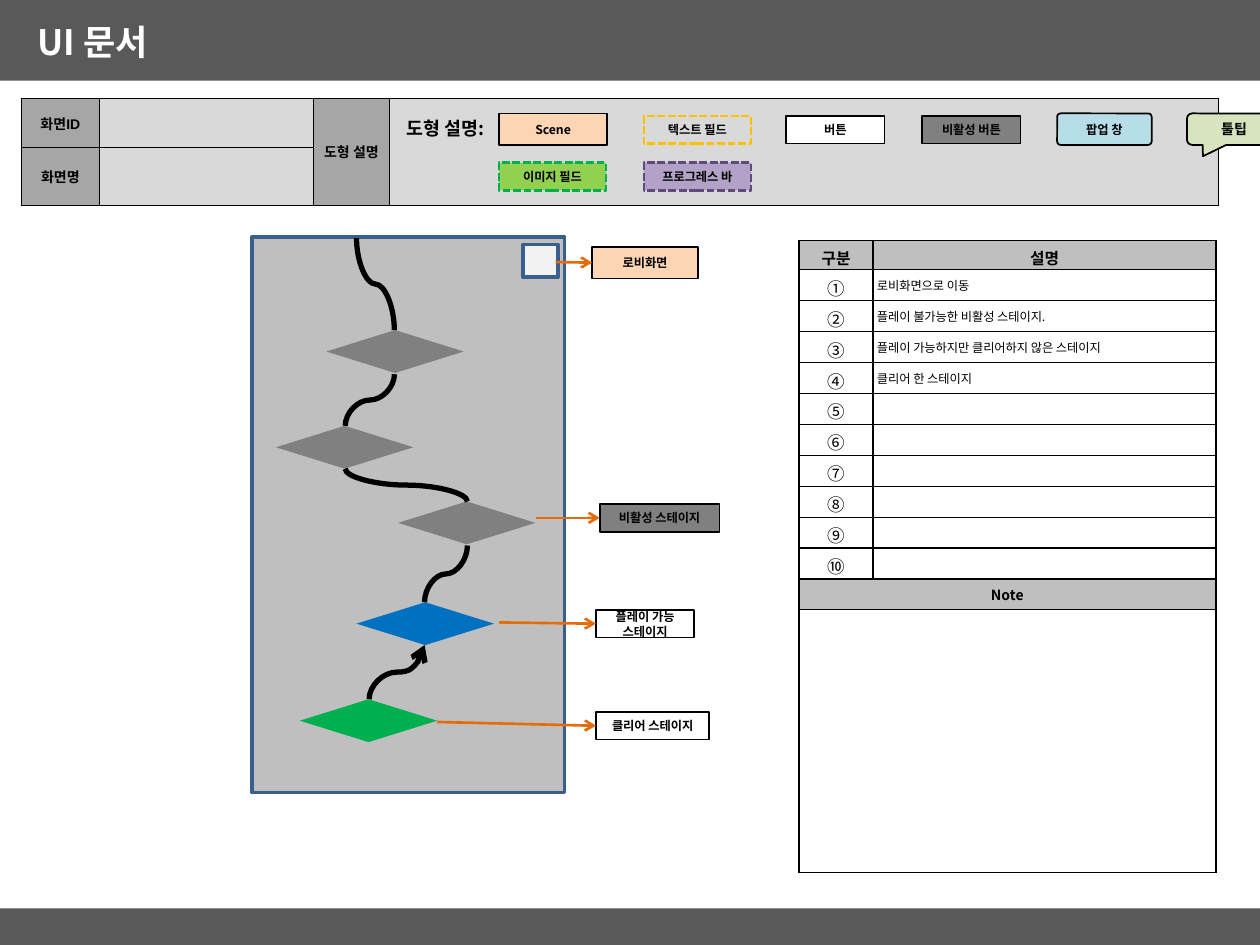
from lxml.etree import SubElement
from pptx import Presentation
from pptx.dml.color import RGBColor
from pptx.enum.dml import MSO_LINE
from pptx.enum.shapes import MSO_CONNECTOR, MSO_SHAPE
from pptx.enum.text import MSO_ANCHOR, PP_ALIGN
from pptx.oxml.ns import qn
from pptx.util import Inches, Pt

BLACK = RGBColor(0x00, 0x00, 0x00)
WHITE = RGBColor(0xFF, 0xFF, 0xFF)
BAR = RGBColor(0x59, 0x59, 0x59)
GRAY = RGBColor(0x80, 0x80, 0x80)
LABEL_GRAY = RGBColor(0xA6, 0xA6, 0xA6)
HEAD_GRAY = RGBColor(0xBF, 0xBF, 0xBF)
PALE_GRAY = RGBColor(0xD9, 0xD9, 0xD9)
ICON_GRAY = RGBColor(0xF2, 0xF2, 0xF2)
PEACH = RGBColor(0xFC, 0xD5, 0xB5)
OLIVE = RGBColor(0xD7, 0xE4, 0xBD)
AQUA = RGBColor(0xB7, 0xDE, 0xE8)
AMBER = RGBColor(0xFF, 0xC0, 0x00)
LILAC = RGBColor(0xB3, 0xA2, 0xC7)
PURPLE = RGBColor(0x60, 0x4A, 0x7B)
LIME = RGBColor(0x92, 0xD0, 0x50)
GREEN = RGBColor(0x00, 0xB0, 0x50)
BLUE = RGBColor(0x00, 0x70, 0xC0)
NAVY = RGBColor(0x3A, 0x5F, 0x8C)
ORANGE = RGBColor(0xE4, 0x6C, 0x0A)

KOREAN = "Noto Sans CJK KR"
RECT, ROUND = MSO_SHAPE.RECTANGLE, MSO_SHAPE.ROUNDED_RECTANGLE
CALLOUT = MSO_SHAPE.ROUNDED_RECTANGULAR_CALLOUT

# text, shape, (left, top, width, height), fill, adjustments, size
LEGEND = [
    ("Scene", RECT, (3.96, 0.9, 0.86, 0.25), PEACH, [], 7),
    ("버튼", RECT, (6.24, 0.92, 0.78, 0.22), WHITE, [], 7),
    ("비활성 버튼", RECT, (7.32, 0.92, 0.78, 0.22), GRAY, [], 7),
    ("팝업 창", ROUND, (8.39, 0.9, 0.75, 0.25), AQUA, [0.11], 7),
    ("툴팁", CALLOUT, (9.42, 0.9, 0.75, 0.25), OLIVE, [-0.33, 0.86, 0.17], 8),
]
# text, left, top, fill, dashed line
FIELDS = [
    ("텍스트 필드", 5.11, 0.92, PALE_GRAY, AMBER),
    ("이미지 필드", 3.96, 1.29, LIME, GREEN),
    ("프로그레스 바", 5.11, 1.29, LILAC, PURPLE),
]
# left, top, fill
STAGES = [(2.59, 2.62, GRAY), (2.19, 3.38, GRAY), (3.16, 3.98, GRAY),
          (2.83, 4.78, BLUE), (2.38, 5.55, GREEN)]
STAGE_WIDTH, STAGE_HEIGHT = 1.09, 0.34
# start, end, arrowhead
TRAILS = [
    ((2.83, 1.89), (3.13, 2.62), False),
    ((2.74, 3.38), (3.13, 2.97), False),
    ((3.71, 3.98), (2.74, 3.72), False),
    ((3.37, 4.78), (3.71, 4.33), False),
    ((2.93, 5.55), (3.37, 5.12), True),
]
# text, box, fill, arrow start
CALLOUTS = [
    ("로비화면", (4.7, 1.96, 0.84, 0.25), PEACH, (4.41, 2.08)),
    ("비활성 스테이지", (4.76, 4, 0.95, 0.22), GRAY, (4.25, 4.11)),
    ("플레이 가능 스테이지", (4.73, 4.84, 0.78, 0.22), WHITE, (3.96, 4.94)),
    ("클리어 스테이지", (4.73, 5.65, 0.9, 0.22), WHITE, (3.47, 5.73)),
]
NUMBERS = "①②③④⑤⑥⑦⑧⑨⑩"
DESCRIPTIONS = ["로비화면으로 이동", "플레이 불가능한 비활성 스테이지.",
                "플레이 가능하지만 클리어하지 않은 스테이지", "클리어 한 스테이지"]


def inches(values):
    return [Inches(value) for value in values]


def write(paragraph, text, size, bold=True, color=BLACK, font=KOREAN, align=PP_ALIGN.CENTER):
    paragraph.alignment = align
    run = paragraph.add_run()
    run.text = text
    run.font.size, run.font.bold, run.font.name = Pt(size), bold, font
    run.font.color.rgb = color
    SubElement(run.font._element, qn("a:ea"), typeface=KOREAN)


def add_box(shapes, kind, box, fill, line=None, width=1.0, text="", size=7):
    shape = shapes.add_shape(kind, *inches(box))
    shape.shadow.inherit = False
    shape.fill.solid()
    shape.fill.fore_color.rgb = fill
    if line is None:
        shape.line.fill.background()
    else:
        shape.line.color.rgb = line
        shape.line.width = Pt(width)
    if text:
        frame = shape.text_frame
        frame.word_wrap = True
        frame.vertical_anchor = MSO_ANCHOR.MIDDLE
        write(frame.paragraphs[0], text, size)
    return shape


def add_text(shapes, box, text, size, color, wrap):
    frame = shapes.add_textbox(*inches(box)).text_frame
    frame.word_wrap = wrap
    write(frame.paragraphs[0], text, size, color=color, align=PP_ALIGN.LEFT)


def add_line(shapes, kind, start, end, color, width, arrow):
    connector = shapes.add_connector(kind, *inches(start + end))
    connector.line.color.rgb = color
    connector.line.width = Pt(width)
    if arrow:
        SubElement(connector.line._get_or_add_ln(), qn("a:tailEnd"), type="arrow")
    SubElement(connector._element.spPr, qn("a:effectLst"))
    return connector


def add_trail(shapes, start, end, arrow):
    """Curve that leaves and arrives vertically: a horizontal one turned 90 degrees."""
    (x1, y1), (x2, y2) = start, end
    middle_x, middle_y = (x1 + x2) / 2, (y1 + y2) / 2
    half_x, half_y = (x2 - x1) / 2, (y2 - y1) / 2
    curve = add_line(shapes, MSO_CONNECTOR.CURVE, (middle_x - half_y, middle_y + half_x),
                     (middle_x + half_y, middle_y - half_x), BLACK, 3, arrow)
    curve._element.spPr.find(qn("a:xfrm")).set("rot", "5400000")


def add_grid(shapes, left, top, columns, rows):
    """Plain table with black borders and no fill."""
    table = shapes.add_table(len(rows), len(columns), Inches(left), Inches(top),
                             Inches(sum(columns)), Inches(sum(rows))).table
    table.first_row = table.horz_banding = False
    for column, width in zip(table.columns, columns):
        column.width = Inches(width)
    for row, height in zip(table.rows, rows):
        row.height = Inches(height)
    for cell in table.iter_cells():
        cell.fill.background()
        cell.margin_left = cell.margin_right = Inches(0.03)
        cell.margin_top = cell.margin_bottom = Inches(0.04)
        cell.vertical_anchor = MSO_ANCHOR.MIDDLE
        cell.text_frame.paragraphs[0]._p.get_or_add_endParaRPr().set("sz", "700")
        properties = cell._tc.get_or_add_tcPr()
        for index, side in enumerate(("lnL", "lnR", "lnT", "lnB")):
            border = SubElement(properties, qn(f"a:{side}"), w=str(Pt(1)))
            SubElement(SubElement(border, qn("a:solidFill")), qn("a:srgbClr"), val=str(BLACK))
            properties.insert(index, border)
    return table


def fill_cell(cell, color, text="", size=8, font="Arial"):
    cell.fill.solid()
    cell.fill.fore_color.rgb = color
    if text:
        write(cell.text_frame.paragraphs[0], text, size, font=font)


def add_description_table(shapes):
    rows = [0.23] + [2.46 / len(NUMBERS)] * len(NUMBERS) + [0.24, 2.09]
    table = add_grid(shapes, 6.34, 1.91, [0.59, 2.72], rows)
    for column, heading in enumerate(("구분", "설명")):
        fill_cell(table.cell(0, column), HEAD_GRAY, heading, 9)
        table.cell(0, column).margin_bottom = 0
    for row, number in enumerate(NUMBERS, 1):
        cell = table.cell(row, 0)
        cell.margin_bottom = 0
        write(cell.text_frame.paragraphs[0], number, 10, bold=False)
    for row, text in enumerate(DESCRIPTIONS, 1):
        write(table.cell(row, 1).text_frame.paragraphs[0], text, 7, bold=False,
              align=PP_ALIGN.LEFT)
    note_row = len(NUMBERS) + 1
    for row in (note_row, note_row + 1):
        table.cell(row, 0).merge(table.cell(row, 1))
    fill_cell(table.cell(note_row, 0), HEAD_GRAY, "Note", font=KOREAN)


def add_screen_table(shapes):
    table = add_grid(shapes, 0.17, 0.78, [0.62, 1.7, 0.6, 6.58], [0.39, 0.46])
    for row, label in enumerate(("화면ID", "화면명")):
        fill_cell(table.cell(row, 0), LABEL_GRAY, label)
        fill_cell(table.cell(row, 1), PALE_GRAY)
    for column in (2, 3):
        table.cell(0, column).merge(table.cell(1, column))
    fill_cell(table.cell(0, 2), LABEL_GRAY, "도형 설명")
    fill_cell(table.cell(0, 3), PALE_GRAY)


def main():
    presentation = Presentation()
    presentation.slide_width, presentation.slide_height = Inches(10), Inches(7.5)
    shapes = presentation.slides.add_slide(presentation.slide_layouts[6]).shapes

    add_box(shapes, RECT, (0, 0, 10, 0.64), BAR)
    add_box(shapes, RECT, (0, 7.21, 10, 0.29), BAR)
    add_text(shapes, (0.2, 0.11, 9.53, 0.44), "UI 문서", 20, WHITE, True)
    add_description_table(shapes)
    add_screen_table(shapes)

    add_text(shapes, (3.13, 0.88, 0.88, 0.28), "도형 설명:", 10.5, BLACK, False)
    for text, kind, box, fill, adjustments, size in LEGEND:
        shape = add_box(shapes, kind, box, fill, BLACK, 1, text, size)
        for index, value in enumerate(adjustments):
            shape.adjustments[index] = value
    for text, left, top, fill, line in FIELDS:
        field = add_box(shapes, RECT, (left, top, 0.85, 0.22), fill, line, 1.5, text)
        field.line.dash_style = MSO_LINE.SQUARE_DOT

    stage_map = shapes.add_group_shape().shapes
    panel = add_box(stage_map, RECT, (2, 1.88, 2.48, 4.41), GRAY, NAVY, 2)
    SubElement(panel._element.spPr.find(f".//{qn('a:srgbClr')}"), qn("a:alpha"), val="50000")
    for left, top, fill in STAGES:
        add_box(stage_map, MSO_SHAPE.DIAMOND, (left, top, STAGE_WIDTH, STAGE_HEIGHT), fill)
    for start, end, arrow in TRAILS:
        add_trail(stage_map, start, end, arrow)
    add_box(stage_map, RECT, (4.15, 1.94, 0.28, 0.26), ICON_GRAY, NAVY, 2)

    for text, box, fill, start in CALLOUTS:
        label = add_box(shapes, RECT, box, fill, BLACK, 1, text)
        end = (box[0], box[1] + box[3] / 2)
        arrow = add_line(shapes, MSO_CONNECTOR.STRAIGHT, start, end, ORANGE, 1.5, True)
        arrow.end_connect(label, 1)

    presentation.save("out.pptx")


if __name__ == "__main__":
    main()
